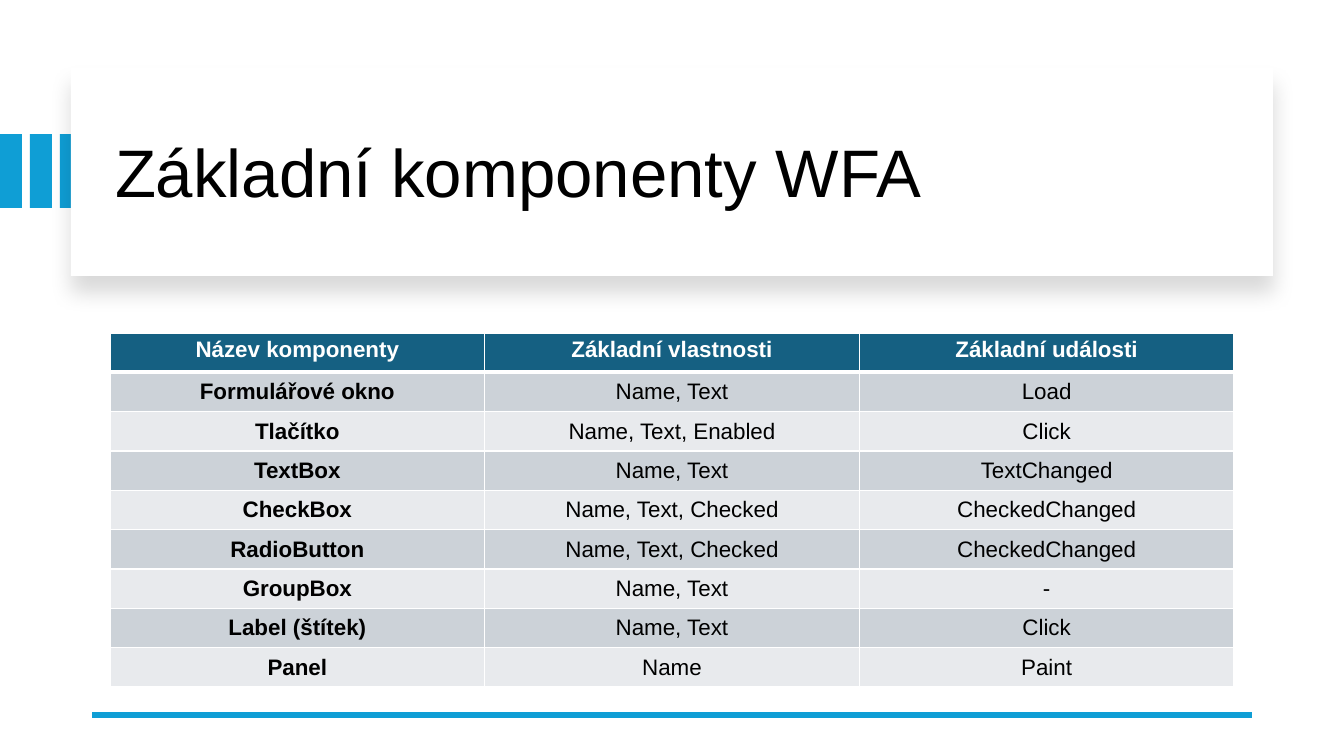
from dataclasses import dataclass

from lxml.etree import SubElement as Sub
from pptx import Presentation
from pptx.dml.color import RGBColor as RGB
from pptx.enum.shapes import MSO_CONNECTOR as Conn, MSO_SHAPE as Shape
from pptx.enum.text import MSO_ANCHOR as Anchor, MSO_AUTO_SIZE as Auto, PP_ALIGN as Align
from pptx.oxml.ns import qn
from pptx.util import Pt


@dataclass(frozen=True)
class Theme:
    """Hold the colours, font and type sizes."""
    font: str = "Arial"
    accent: str = "0F9ED5"
    head: str = "156082"
    dark: str = "CCD2D8"
    light: str = "E8EAED"
    white: str = "FFFFFF"
    black: str = "000000"
    title: int = 48
    body: int = 16


THEME = Theme()
SCALE = 914400 / 100.8
ROWS = [
    ("Název komponenty", "Základní vlastnosti", "Základní události"),
    ("Formulářové okno", "Name, Text", "Load"),
    ("Tlačítko", "Name, Text, Enabled", "Click"),
    ("TextBox", "Name, Text", "TextChanged"),
    ("CheckBox", "Name, Text, Checked", "CheckedChanged"),
    ("RadioButton", "Name, Text, Checked", "CheckedChanged"),
    ("GroupBox", "Name, Text", "-"),
    ("Label (štítek)", "Name, Text", "Click"),
    ("Panel", "Name", "Paint"),
]


def px(*vals):
    """Turn px lengths into EMU."""
    return [round(val * SCALE) for val in vals]


def write(frame, text, size=THEME.body, color=THEME.black, bold=False,
          align=Align.CENTER, space=1.0):
    """Put formatted text into a frame."""
    para = frame.paragraphs[0]
    para.alignment = align
    para.line_spacing = space
    run = para.add_run()
    run.text = text
    font = run.font
    font.name, font.size, font.bold = THEME.font, Pt(size), bold
    font.color.rgb = RGB.from_string(color)


def block(slide, box, color):
    """Add a plain filled rectangle."""
    rect = slide.shapes.add_shape(Shape.RECTANGLE, *px(*box))
    rect.shadow.inherit = False
    rect.fill.solid()
    rect.fill.fore_color.rgb = RGB.from_string(color)
    rect.line.fill.background()
    return rect


def shade(shape, blur, dist, alpha):
    """Give a shape a soft shadow that falls downwards."""
    effects = shape.element.spPr.find(qn("a:effectLst"))
    outer = Sub(effects, qn("a:outerShdw"), blurRad=str(Pt(blur)),
                dist=str(Pt(dist)), dir="5400000", algn="t", rotWithShape="0")
    color = Sub(outer, qn("a:srgbClr"), val=THEME.black)
    Sub(color, qn("a:alpha"), val=str(alpha * 1000))


def head(slide, card, text):
    """Place the title on top of its card."""
    title = slide.shapes.title
    card.element.addnext(title.element)
    title.left, title.top, title.width, title.height = px(115, 90, 1122, 171)
    frame = title.text_frame
    frame.auto_size = Auto.NONE
    frame.word_wrap = True
    frame.vertical_anchor = Anchor.MIDDLE
    frame.margin_left = frame.margin_right = 0
    frame.margin_top = frame.margin_bottom = 0
    write(frame, text, size=THEME.title, align=Align.LEFT, space=0.9)


def rule(slide, start, end, color, width):
    """Draw a straight line."""
    line = slide.shapes.add_connector(Conn.STRAIGHT, *px(*start, *end))
    line.line.color.rgb = RGB.from_string(color)
    line.line.width = Pt(width)
    Sub(line.element.spPr, qn("a:effectLst"))


def edge(cell, low):
    """Draw white cell borders, the bottom one with its own width."""
    props = cell._tc.get_or_add_tcPr()
    for side, width in zip("LRTB", (1, 1, 1, low)):
        line = Sub(props, qn(f"a:ln{side}"), w=str(Pt(width)))
        fill = Sub(line, qn("a:solidFill"))
        Sub(fill, qn("a:srgbClr"), val=THEME.white)


def grid(slide, rows, box):
    """Add the banded table."""
    table = slide.shapes.add_table(len(rows), len(rows[0]), *px(*box)).table
    for row, texts in enumerate(rows):
        top = row == 0
        fill = THEME.head if top else THEME.dark if row % 2 else THEME.light
        for col, text in enumerate(texts):
            cell = table.cell(row, col)
            edge(cell, 3 if top else 1)
            cell.fill.solid()
            cell.fill.fore_color.rgb = RGB.from_string(fill)
            cell.vertical_anchor = Anchor.TOP if top else Anchor.MIDDLE
            cell.margin_left = cell.margin_right = px(9)[0]
            cell.margin_top = cell.margin_bottom = px(4)[0]
            write(cell.text_frame, text, bold=top or col == 0,
                  color=THEME.white if top else THEME.black)


def main():
    """Build and save the slide."""
    deck = Presentation()
    deck.slide_width, deck.slide_height = px(1344, 756)
    slide = deck.slides.add_slide(deck.slide_layouts[5])
    for step in range(3):
        block(slide, (step * 30, 134, 22, 74), THEME.accent)
    card = block(slide, (71, 68, 1202, 208), THEME.white)
    shade(card, 15, 11, 15)
    head(slide, card, "Základní komponenty WFA")
    rule(slide, (1252, 715), (92, 715), THEME.accent, 4.5)
    grid(slide, ROWS, (110, 333, 1124, 354))
    deck.save("out.pptx")


if __name__ == "__main__":
    main()
